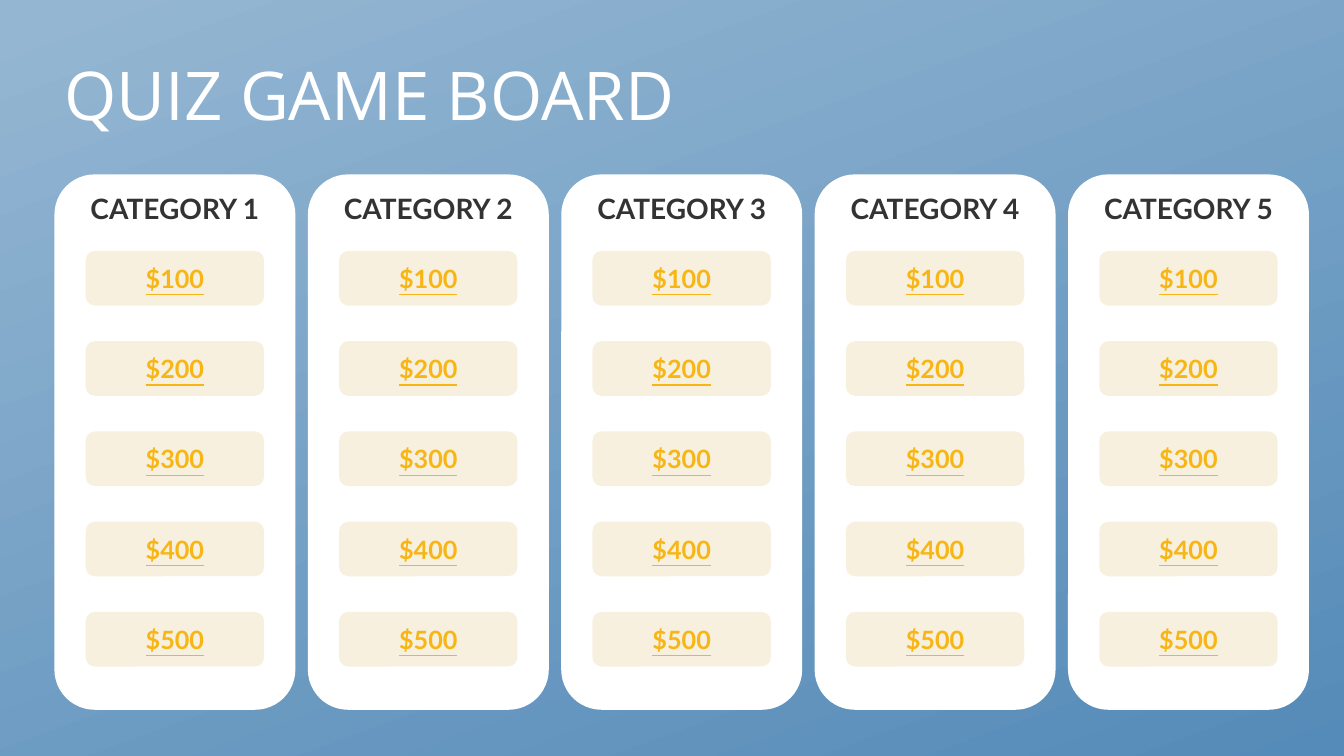
"""Build a quiz board slide with five category columns of prize tiles."""
from dataclasses import dataclass

from pptx import Presentation
from pptx.dml.color import RGBColor as RGB
from pptx.enum.shapes import MSO_SHAPE as Shape
from pptx.enum.text import MSO_ANCHOR as Anchor, MSO_AUTO_SIZE as AutoSize, PP_ALIGN as Align
from pptx.util import Pt

TITLE = "QUIZ GAME BOARD"
CATEGORIES = ["CATEGORY 1", "CATEGORY 2", "CATEGORY 3", "CATEGORY 4", "CATEGORY 5"]
PRIZES = ["$100", "$200", "$300", "$400", "$500"]


@dataclass(frozen=True)
class Theme:
    """Colours, fonts and type sizes of the slide."""
    sky: str = "94B6D2"
    sea: str = "558BB8"
    white: str = "FFFFFF"
    ink: str = "333333"
    cream: str = "F7F0DE"
    gold: str = "F7B615"
    heading_font: str = "Open Sans"
    board_font: str = "Lato"
    title_size: int = 48
    category_size: int = 20
    prize_size: int = 18


THEME = Theme()
SLIDE_WIDTH, SLIDE_HEIGHT = 960, 540
TITLE_BOX = (38.9, 18, 828, 104.4)
COLUMN_LEFT, COLUMN_TOP, COLUMN_WIDTH, COLUMN_HEIGHT = 38.9, 124.6, 172.1, 382.4
COLUMN_PITCH = 181
TILE_TOP, TILE_WIDTH, TILE_HEIGHT = 179.3, 127.4, 39
TILE_PITCH = 64.45


def write(holder, text, *, size, color, font, align=Align.CENTER, anchor=Anchor.MIDDLE,
          bold=False, underline=False, line_spacing=None):
    """Put one formatted paragraph into a shape."""
    frame = holder.text_frame
    frame.word_wrap = True
    frame.auto_size = AutoSize.NONE
    frame.vertical_anchor = anchor
    paragraph = frame.paragraphs[0]
    paragraph.alignment = align
    paragraph.line_spacing = line_spacing
    run = paragraph.add_run()
    run.text = text
    run.font.name = font
    run.font.size = Pt(size)
    run.font.bold = bold
    run.font.underline = underline
    run.font.color.rgb = RGB.from_string(color)


def place(holder, left, top, width, height):
    """Move and size a shape in points."""
    holder.left, holder.top = Pt(left), Pt(top)
    holder.width, holder.height = Pt(width), Pt(height)


def add_panel(slide, left, top, width, height, color):
    """Add a plain rounded panel."""
    panel = slide.shapes.add_shape(
        Shape.FLOWCHART_ALTERNATE_PROCESS, Pt(left), Pt(top), Pt(width), Pt(height))
    panel.shadow.inherit = False
    panel.fill.solid()
    panel.fill.fore_color.rgb = RGB.from_string(color)
    panel.line.fill.background()
    return panel


def paint_background(slide):
    """Fill the slide with a slanted blue gradient."""
    backdrop = slide.background.fill
    backdrop.gradient()
    backdrop.gradient_angle = 290
    for stop, position, color in zip(backdrop.gradient_stops, (0.02, 1), (THEME.sky, THEME.sea)):
        stop.position = position
        stop.color.rgb = RGB.from_string(color)


def main():
    """Compose and save the slide."""
    deck = Presentation()
    deck.slide_width, deck.slide_height = Pt(SLIDE_WIDTH), Pt(SLIDE_HEIGHT)
    slide = deck.slides.add_slide(deck.slide_layouts[5])
    paint_background(slide)

    heading = slide.shapes.title
    place(heading, *TITLE_BOX)
    write(heading, TITLE, size=THEME.title_size, color=THEME.white,
          font=THEME.heading_font, align=Align.LEFT, line_spacing=0.9)

    column_lefts = [COLUMN_LEFT + index * COLUMN_PITCH for index in range(len(CATEGORIES))]
    for left, category in zip(column_lefts, CATEGORIES):
        column = add_panel(slide, left, COLUMN_TOP, COLUMN_WIDTH, COLUMN_HEIGHT, THEME.white)
        write(column, category, size=THEME.category_size, color=THEME.ink,
              font=THEME.board_font, anchor=Anchor.TOP, bold=True)

    tile_inset = (COLUMN_WIDTH - TILE_WIDTH) / 2
    for left in column_lefts:
        for row, prize in enumerate(PRIZES):
            tile = add_panel(slide, left + tile_inset, TILE_TOP + row * TILE_PITCH,
                             TILE_WIDTH, TILE_HEIGHT, THEME.cream)
            write(tile, prize, size=THEME.prize_size, color=THEME.gold,
                  font=THEME.board_font, bold=True, underline=True)

    deck.save("out.pptx")


if __name__ == "__main__":
    main()
